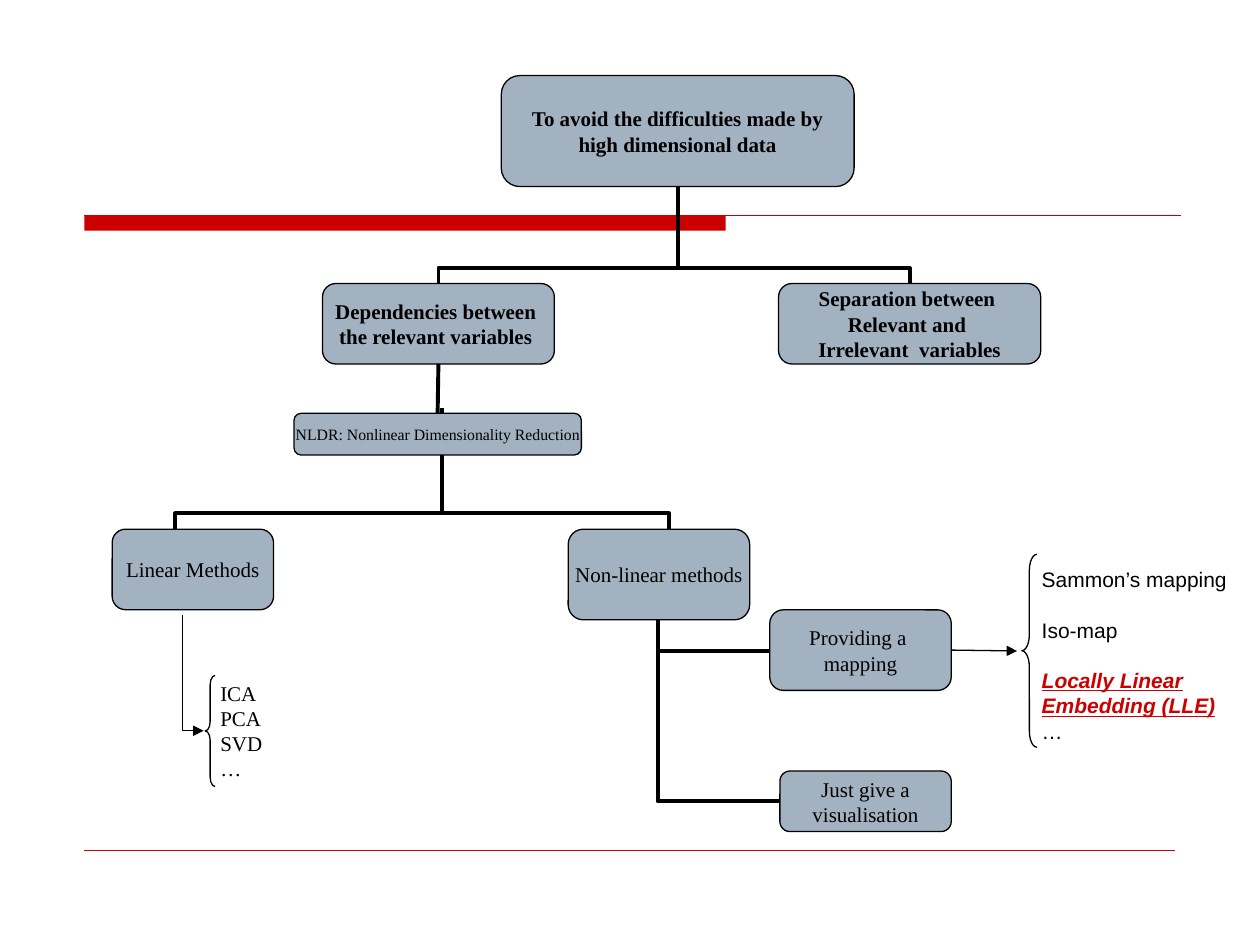
from lxml import etree
from pptx import Presentation
from pptx.dml.color import RGBColor
from pptx.enum.shapes import MSO_CONNECTOR, MSO_SHAPE
from pptx.enum.text import MSO_ANCHOR, PP_ALIGN
from pptx.oxml.ns import qn
from pptx.util import Pt

STRAIGHT = MSO_CONNECTOR.STRAIGHT
ELBOW = MSO_CONNECTOR.ELBOW
RECT = MSO_SHAPE.RECTANGLE
ROUND = MSO_SHAPE.ROUNDED_RECTANGLE
BRACE = MSO_SHAPE.LEFT_BRACE
MIDDLE = MSO_ANCHOR.MIDDLE
CENTER = PP_ALIGN.CENTER
LEFT = PP_ALIGN.LEFT

COLORS = {"ink": "000000", "box": "A3B2C1", "red": "CC0000"}
SERIF, SANS = "Times New Roman", "Arial"
STUB = 9


def color(name):
    """Return a named colour."""
    return RGBColor.from_string(COLORS[name])


def write(frame, lines, align, font=SERIF, size=12, bold=False, gaps=(), marked=None):
    """Write one paragraph per line, with a gap before or a mark on some."""
    for i, line in enumerate(lines):
        para = frame.paragraphs[0] if i == 0 else frame.add_paragraph()
        para.alignment = align
        para.line_spacing = Pt(size * 1.2)
        if i in gaps:
            para.space_before = Pt(size * 1.2)
        run = para.add_run()
        run.text = line
        run.font.name, run.font.size = font, Pt(size)
        run.font.bold = bold
        run.font.color.rgb = color("ink")
        if i == marked:
            run.font.bold = run.font.italic = run.font.underline = True
            run.font.color.rgb = color("red")


def node(slide, x, y, w, h, lines, **style):
    """Add a rounded box with centred text."""
    box = slide.shapes.add_shape(ROUND, Pt(x), Pt(y), Pt(w), Pt(h))
    box.shadow.inherit = False
    box.fill.solid()
    box.fill.fore_color.rgb = color("box")
    box.line.color.rgb = color("ink")
    box.line.width = Pt(0.75)
    frame = box.text_frame
    frame.margin_left = frame.margin_right = frame.margin_top = frame.margin_bottom = 0
    frame.word_wrap = False
    frame.vertical_anchor = MIDDLE
    write(frame, lines, CENTER, **style)
    return box


def link(slide, kind, x1, y1, x2, y2, width, tone="ink", arrow=False):
    """Add a connector without shadow, with an arrowhead if asked."""
    line = slide.shapes.add_connector(kind, Pt(x1), Pt(y1), Pt(x2), Pt(y2))
    line.line.color.rgb = color(tone)
    line.line.width = Pt(width)
    props = line._element.spPr
    if arrow:
        etree.SubElement(props.find(qn("a:ln")), qn("a:tailEnd"), type="triangle")
    etree.SubElement(props, qn("a:effectLst"))
    return line


def drop(slide, x1, y1, x2, y2, width=2.25, side=False, arrow=False):
    """Add an elbow that leaves downward and enters from the top or the side."""
    dx, dy = abs(x2 - x1), y2 - y1
    mx, my = (x1 + x2) / 2, (y1 + y2) / 2
    line = link(slide, ELBOW, mx - dy / 2, my - dx / 2, mx + dy / 2, my + dx / 2,
                width, arrow=arrow)
    props = line._element.spPr
    form = props.find(qn("a:xfrm"))
    form.set("rot", str((90 if x2 < x1 else 270) * 60000))
    if x2 > x1:
        form.set("flipH", "1")
    geom = props.find(qn("a:prstGeom"))
    if side:
        geom.set("prst", "bentConnector2")
    else:
        turn = round((1 - STUB / dy) * 100000)
        etree.SubElement(geom.find(qn("a:avLst")), qn("a:gd"),
                         name="adj1", fmla=f"val {turn}")


def brace(slide, x, y, w, h):
    """Add a left brace."""
    mark = slide.shapes.add_shape(BRACE, Pt(x), Pt(y), Pt(w), Pt(h))
    mark.shadow.inherit = False
    mark.fill.background()
    mark.line.color.rgb = color("ink")
    mark.line.width = Pt(0.75)
    mark.adjustments[0] = h / 12 / w


def names(slide, x, y, w, h, lines, wrap, **style):
    """Add a plain list of methods."""
    frame = slide.shapes.add_textbox(Pt(x), Pt(y), Pt(w), Pt(h)).text_frame
    frame.word_wrap = wrap
    write(frame, lines, LEFT, **style)


def rules(slide, x, y, w, h):
    """Add the red bar with its thin line, and the foot line."""
    bar = slide.shapes.add_shape(RECT, Pt(x), Pt(y), Pt(366.5), Pt(8.64))
    bar.shadow.inherit = False
    bar.fill.solid()
    bar.fill.fore_color.rgb = color("red")
    bar.line.fill.background()
    link(slide, STRAIGHT, x, y, x + w, y, 0.75, "red")
    link(slide, STRAIGHT, x, y + h, x + w - 2.9, y + h, 0.25, "red")


def goals(slide, x, y):
    """Add the top of the tree: the aim, its two parts and the NLDR box."""
    for end in (66.25, 335.5):
        drop(slide, x + 203, y + 63.4, x + end, y + 118.8)
    for end in (-84.2, 198):
        drop(slide, x + 68.5, y + 190.1, x + end, y + 259.2)
    node(slide, x + 102.2, y, 201.6, 63.4,
         ["To avoid the difficulties made by", "high dimensional data"], bold=True)
    part = node(slide, x, y + 118.8, 132.5, 46,
                ["Dependencies between ", "the relevant variables "], bold=True)
    node(slide, x + 260.6, y + 118.8, 149.8, 46,
         ["Separation between ", "Relevant and ", "Irrelevant  variables"], bold=True)
    nldr = node(slide, x - 16.3, y + 193, 164.2, 23.8,
                ["NLDR: Nonlinear Dimensionality Reduction"], size=9)
    mid = x + 66.25
    line = link(slide, STRAIGHT, mid, y + 164.8, mid, y + 193, 2.25)
    line.begin_connect(part, 2)
    line.end_connect(nldr, 0)


def linear(slide, x, y):
    """Add the linear branch with its list."""
    node(slide, x, y, 92.2, 46, ["Linear Methods"])
    drop(slide, x + 40.4, y + 49, x + 52.3, y + 115.2, 0.75, side=True, arrow=True)
    brace(slide, x + 53.2, y + 83.6, 5.6, 63.4)
    names(slide, x + 54.7, y + 82.8, 38.2, 64.8, ["ICA", "PCA", "SVD", "…"], False)


def curved(slide, x, y):
    """Add the non-linear branch with its two uses and the list."""
    for dx, dy in ((115.2, 69.4), (121, 155.5)):
        drop(slide, x + 51.1, y + 51.8, x + dx, y + dy, side=True)
    node(slide, x, y, 103.7, 51.8, ["Non-linear methods"])
    use = node(slide, x + 115.2, y + 46.1, 103.7, 46, ["Providing a ", "mapping"])
    node(slide, x + 121, y + 138.2, 97.9, 34.6, ["Just give a", " visualisation "])
    line = link(slide, STRAIGHT, x + 218.9, y + 69.1, x + 256.5, y + 69.6, 0.75,
                arrow=True)
    line.begin_connect(use, 3)
    brace(slide, x + 259.2, y + 14.4, 8.6, 110.2)
    names(slide, x + 263.5, y + 18, 130.3, 108,
          ["Sammon’s mapping", "Iso-map", "Locally Linear Embedding (LLE)", "…"],
          True, font=SANS, gaps=(1, 2), marked=2)


def main():
    """Build and save the slide."""
    deck = Presentation()
    deck.slide_width, deck.slide_height = Pt(720), Pt(540)
    slide = deck.slides.add_slide(deck.slide_layouts[6])
    rules(slide, 48.2, 123.1, 626.4, 362.9)
    goals(slide, 184.3, 43.2)
    linear(slide, 64.1, 302.4)
    curved(slide, 324.7, 302.4)
    deck.save("out.pptx")


if __name__ == "__main__":
    main()
